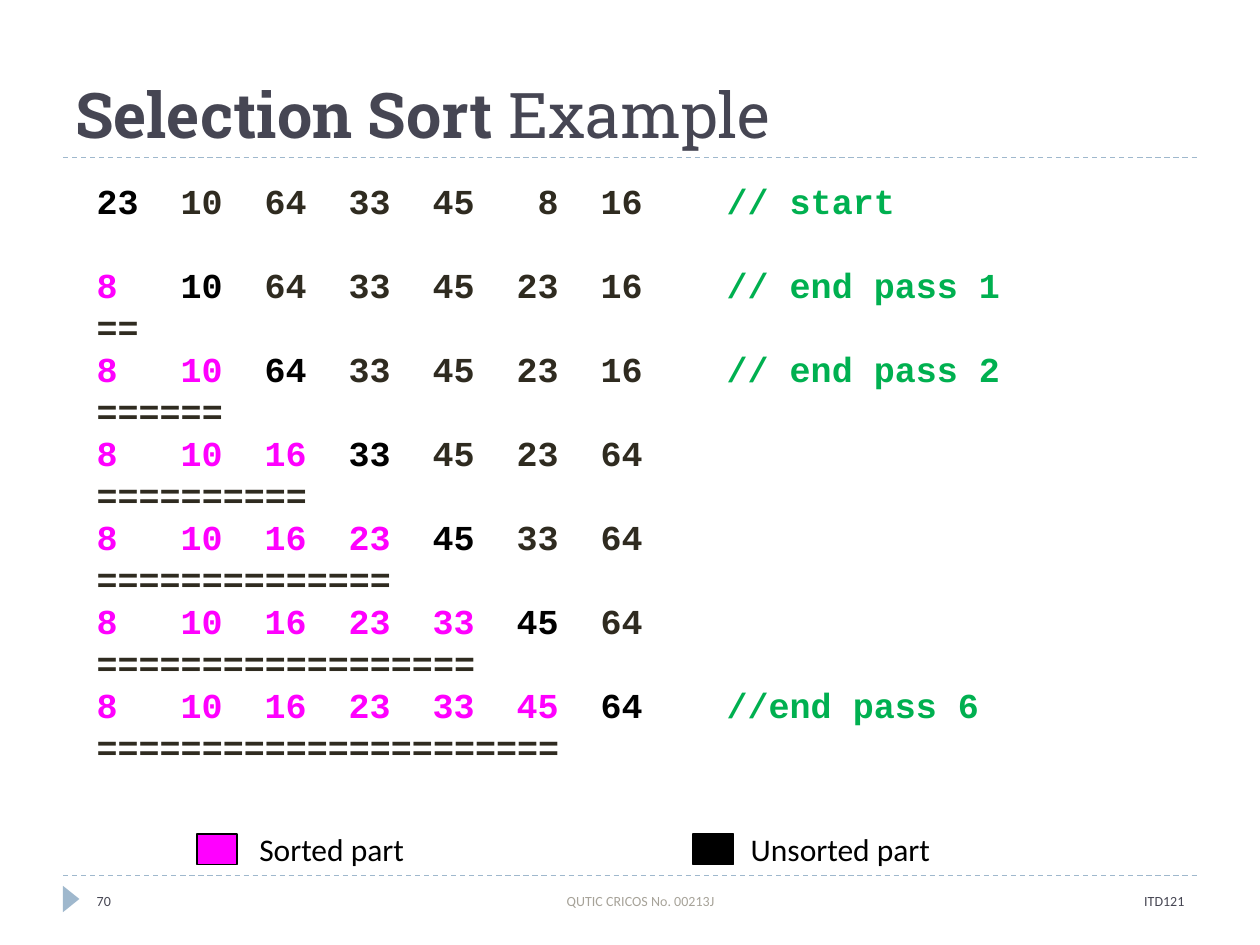
"""Build a slide that traces a selection sort pass by pass."""
import pptx
import pptx.util
import pptx.dml.color
import pptx.enum.dml
import pptx.enum.shapes
import pptx.enum.text
from lxml import etree

Pt = pptx.util.Pt
Align = pptx.enum.text.PP_ALIGN
Anchor = pptx.enum.text.MSO_ANCHOR
Shape = pptx.enum.shapes.MSO_SHAPE

INK, DARK, BLACK = "464653", "2F2B20", "000000"
SORTED, COMMENT, ACCENT, MUTED = "FF00FF", "00B050", "9FB8CD", "A7A399"
TITLE = [("Selection Sort ", True), ("Example", False)]
PASSES = [
    ("23 10 64 33 45 8 16", "// start"),
    ("8 10 64 33 45 23 16", "// end pass 1"),
    ("8 10 64 33 45 23 16", "// end pass 2"),
    ("8 10 16 33 45 23 64", ""),
    ("8 10 16 23 45 33 64", ""),
    ("8 10 16 23 33 45 64", ""),
    ("8 10 16 23 33 45 64", "//end pass 6"),
]
LEGEND = [
    ("Sorted part", SORTED, 112.5, 141.1, 103.7),
    ("Unsorted part", BLACK, 396, 421.9, 123.8),
]
FOOTER = [
    ("ITD121", 504, 180, Align.RIGHT, INK),
    ("QUTIC CRICOS No. 00213J", 228.2, 275.8, Align.CENTER, MUTED),
    ("70", 48.2, 156.2, Align.LEFT, INK),
]
RULES = [90, 500.4]
LINE_HEIGHT, CHARACTER, PITCH, COMMENT_AT = 24, 12, 48, 360


def color(value):
    return pptx.dml.color.RGBColor.from_string(value)


def add_span(para, text, size=20, font="Courier New", ink=DARK, bold=False):
    span = para.add_run()
    span.text = text
    span.font.size = Pt(size)
    span.font.name = font
    span.font.bold = bold
    span.font.color.rgb = color(ink)


def add_box(page, left, top, width, height, anchor=Anchor.TOP, wrap=True):
    box = page.shapes.add_textbox(Pt(left), Pt(top), Pt(width), Pt(height))
    box.text_frame.word_wrap = wrap
    box.text_frame.vertical_anchor = anchor
    return box.text_frame


def add_figure(page, kind, left, top, width, height, fill, line=None):
    figure = page.shapes.add_shape(kind, Pt(left), Pt(top), Pt(width), Pt(height))
    figure.shadow.inherit = False
    figure.fill.solid()
    figure.fill.fore_color.rgb = color(fill)
    if line:
        figure.line.color.rgb = color(line)
        figure.line.width = Pt(0.75)
    else:
        figure.line.fill.background()
    return figure


def add_rule(page, top):
    rule = page.shapes.add_connector(
        pptx.enum.shapes.MSO_CONNECTOR.STRAIGHT, Pt(36), Pt(top), Pt(684), Pt(top))
    rule.line.color.rgb = color(ACCENT)
    rule.line.width = Pt(0.75)
    rule.line.dash_style = pptx.enum.dml.MSO_LINE.DASH
    etree.SubElement(rule._element.spPr, pptx.oxml.ns.qn("a:effectLst"))


def add_tabs(para):
    qn = pptx.oxml.ns.qn
    stops = [(PITCH * column + 2 * CHARACTER, "r") for column in range(1, 7)]
    tabs = etree.SubElement(para._p.get_or_add_pPr(), qn("a:tabLst"))
    for position, align in stops + [(COMMENT_AT, "l")]:
        etree.SubElement(tabs, qn("a:tab"), pos=str(Pt(position)), algn=align)


def add_line(frame, first=False):
    para = frame.paragraphs[0] if first else frame.add_paragraph()
    para.line_spacing = Pt(LINE_HEIGHT)
    return para


def add_passes(page):
    frame = add_box(page, 48.2, 95.8, 626.4, 414)
    frame.margin_top = Pt(6.5)
    for done, (numbers, comment) in enumerate(PASSES):
        para = add_line(frame, first=done == 0)
        if done == 0:
            para.space_after = Pt(LINE_HEIGHT)
        add_tabs(para)
        values = numbers.split()
        parts = [(values[:done], SORTED), (values[done:done + 1], BLACK),
                 (values[done + 1:], DARK), ([comment] if comment else [], COMMENT)]
        lead = ""
        for words, ink in parts:
            if words:
                add_span(para, lead + "\t".join(words), ink=ink, bold=True)
                lead = "\t"
        if done:
            add_span(add_line(frame), "=" * (4 * done - 2), bold=True)


def main():
    deck = pptx.Presentation()
    deck.slide_width, deck.slide_height = Pt(720), Pt(540)
    page = deck.slides.add_slide(deck.slide_layouts[6])
    for top in RULES:
        add_rule(page, top)
    marker = add_figure(page, Shape.ISOSCELES_TRIANGLE, 33.1, 509, 15.1, 9.4, ACCENT)
    marker.rotation = 90
    title = add_box(page, 36, 12.2, 648, 77.8, Anchor.BOTTOM).paragraphs[0]
    for text, bold in TITLE:
        add_span(title, text, size=36, font="Roboto Slab", ink=INK, bold=bold)
    for text, left, width, align, ink in FOOTER:
        para = add_box(page, left, 500.4, width, 28.8, Anchor.MIDDLE).paragraphs[0]
        para.alignment = align
        add_span(para, text, size=8, font="Calibri", ink=ink)
    add_passes(page)
    for text, fill, swatch_left, left, width in LEGEND:
        add_figure(page, Shape.RECTANGLE, swatch_left, 476.6, 23, 17.3, fill, BLACK)
        frame = add_box(page, left, 470.9, width, 28.8, wrap=False)
        add_span(frame.paragraphs[0], text, size=18, font="Calibri", ink=BLACK)
    deck.save("out.pptx")


if __name__ == "__main__":
    main()
